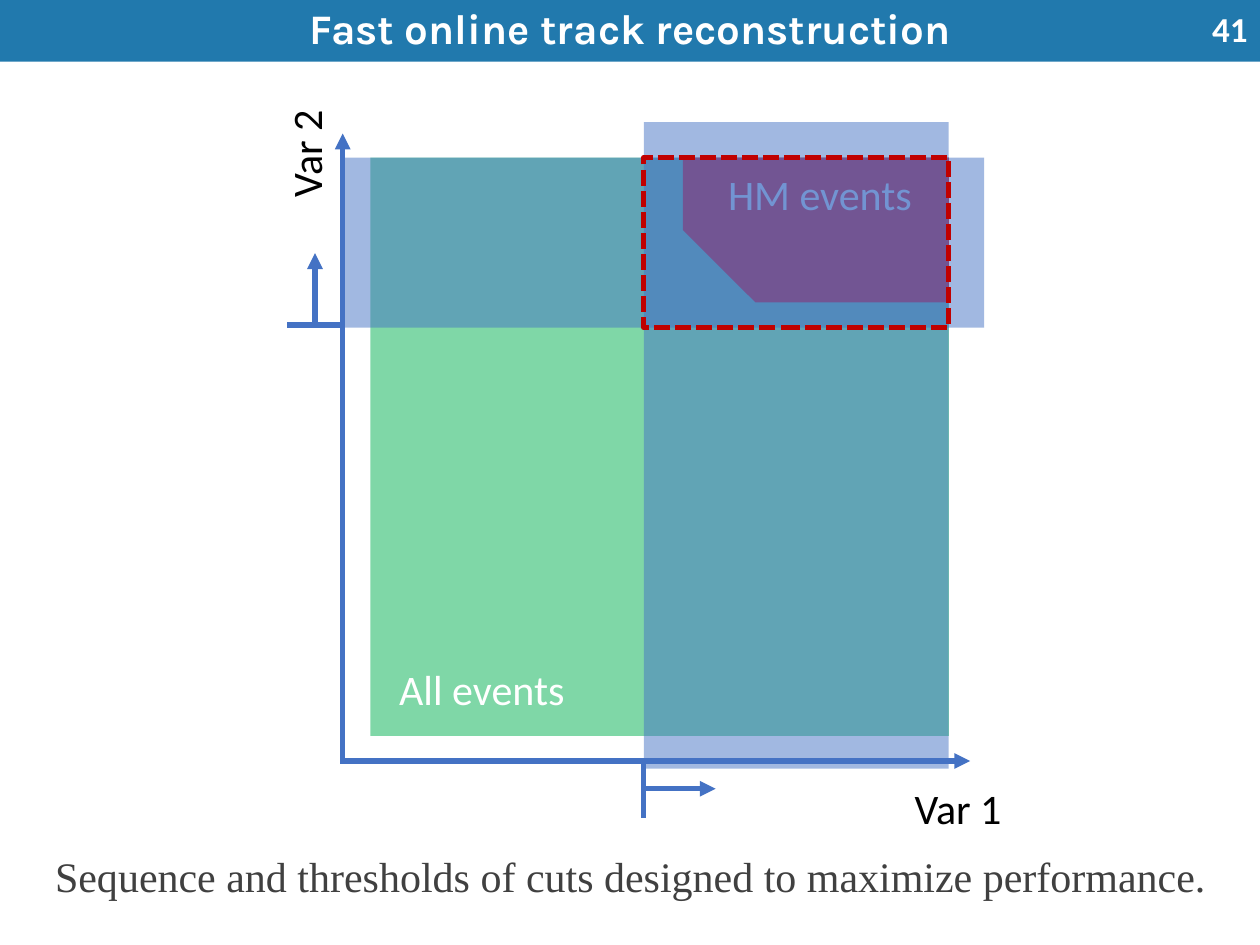
from lxml import etree
from pptx import Presentation, util as u
from pptx.dml.color import RGBColor
from pptx.enum import dml, shapes, text
from pptx.oxml.ns import qn

PX = 9144  # EMU per px, 100 px to the inch
BLUE, GREEN, RED, DARK = "4472C4", "00B050", "FF0000", "C00000"
WHITE, BLACK, GREY, BAR = "FFFFFF", "000000", "404040", "2179AD"
RECT, SNIP = shapes.MSO_SHAPE.RECTANGLE, shapes.MSO_SHAPE.SNIP_1_RECTANGLE
LEFT, MID, RIGHT = text.PP_ALIGN.LEFT, text.PP_ALIGN.CENTER, text.PP_ALIGN.RIGHT

# Plot geometry: cut values and the far edges of the event square
CUT_X, CUT_Y = 511, 260
END_X, TOP = 753, 125
SIDE = 459
AXIS_X, AXIS_Y = 272, 604

HEAD = "Fast online track reconstruction"
NOTE = "Sequence and thresholds of cuts designed to maximize performance."

# Labels: words, box, colour, turn
AXES = [
    ("Var 1", (716, 616, 171, 50), BLACK, 0),
    ("Var 2", (189, 88, 107, 50), BLACK, 270),
    ("All events", (307, 522, 213, 50), WHITE, 0),
]
HM = ("HM events", (568, 129, 213, 50), WHITE, 0)

# Bands kept by each cut
BANDS = [
    (AXIS_X, TOP, 509, CUT_Y - TOP),
    (CUT_X, 97, END_X - CUT_X, 513),
]

# Lines: from, to, arrow
MAIN = [
    ((270, AXIS_Y), (770, AXIS_Y), True),
    ((AXIS_X, 606), (AXIS_X, 106), True),
]
MARKS = [
    ((CUT_X, 606), (CUT_X, 649), False),
    ((CUT_X, 626), (568, 626), True),
    ((228, 258), (271, 258), False),
    ((250, 258), (250, 201), True),
]

prs = Presentation()
prs.slide_width, prs.slide_height = 1000 * PX, 750 * PX
slide = prs.slides.add_slide(prs.slide_layouts[6])


def px(nums):
    return [n * PX for n in nums]


def rgb(code):
    return RGBColor.from_string(code)


def area(box, fill=None, alpha=None, kind=RECT):
    shape = slide.shapes.add_shape(kind, *px(box))
    shape.shadow.inherit = False
    shape.line.fill.background()
    if fill:
        shape.fill.solid()
        shape.fill.fore_color.rgb = rgb(fill)
    else:
        shape.fill.background()
    if alpha:
        tone = shape.fill._xPr.find(".//" + qn("a:srgbClr"))
        etree.SubElement(tone, qn("a:alpha"), val=str(alpha * 1000))
    return shape


def write(shape, words, color, size=24, face="Calibri", bold=False, align=LEFT):
    frame = shape.text_frame
    frame.word_wrap = True
    frame.text = words
    para = frame.paragraphs[0]
    para.alignment = align
    font = para.runs[0].font
    font.size, font.name, font.bold = u.Pt(size), face, bold
    font.color.rgb = rgb(color)
    return para


def label(words, box, color, turn=0, **style):
    shape = slide.shapes.add_textbox(*px(box))
    shape.rotation = turn
    write(shape, words, color, **style)
    return shape


def stroke(line, color):
    line.color.rgb = rgb(color)
    line.width = u.Pt(3)


def draw(start, end, arrow):
    link = slide.shapes.add_connector(
        shapes.MSO_CONNECTOR.STRAIGHT, *px(start + end))
    stroke(link.line, BLUE)
    if arrow:
        etree.SubElement(link.line._get_or_add_ln(), qn("a:tailEnd"), type="triangle")
    etree.SubElement(link._element.spPr, qn("a:effectLst"))


# Title bar, page number and closing remark
bar = area((0, 0, 1000, 49), BAR)
bar.text_frame.vertical_anchor = text.MSO_ANCHOR.MIDDLE
write(bar, HEAD, WHITE, face="Karla", bold=True, align=MID).line_spacing = 0.9
page = label("41", (951, 3, 49, 40), WHITE, size=20, bold=True, align=RIGHT)
page.text_frame.vertical_anchor = text.MSO_ANCHOR.MIDDLE
label(NOTE, (27, 670, 947, 52), GREY, face="Times New Roman", align=MID)

# Axes and the square of all events
for item in MAIN:
    draw(*item)
area((END_X - SIDE, TOP, SIDE, SIDE), GREEN, 50)
for item in AXES:
    label(*item)

# Region of HM events
snip = area((542, TOP, END_X - 542, 115), RED, kind=SNIP)
snip.adjustments[0] = 0.5
snip.rotation = 180
label(*HM)

# Cut bands and their dashed overlap
for band in BANDS:
    area(band, BLUE, 50)
both = area((CUT_X, TOP, END_X - CUT_X, CUT_Y - TOP))
stroke(both.line, DARK)
both.line.dash_style = dml.MSO_LINE.SQUARE_DOT

# Cut marks with their directions
for item in MARKS:
    draw(*item)

prs.save("out.pptx")
